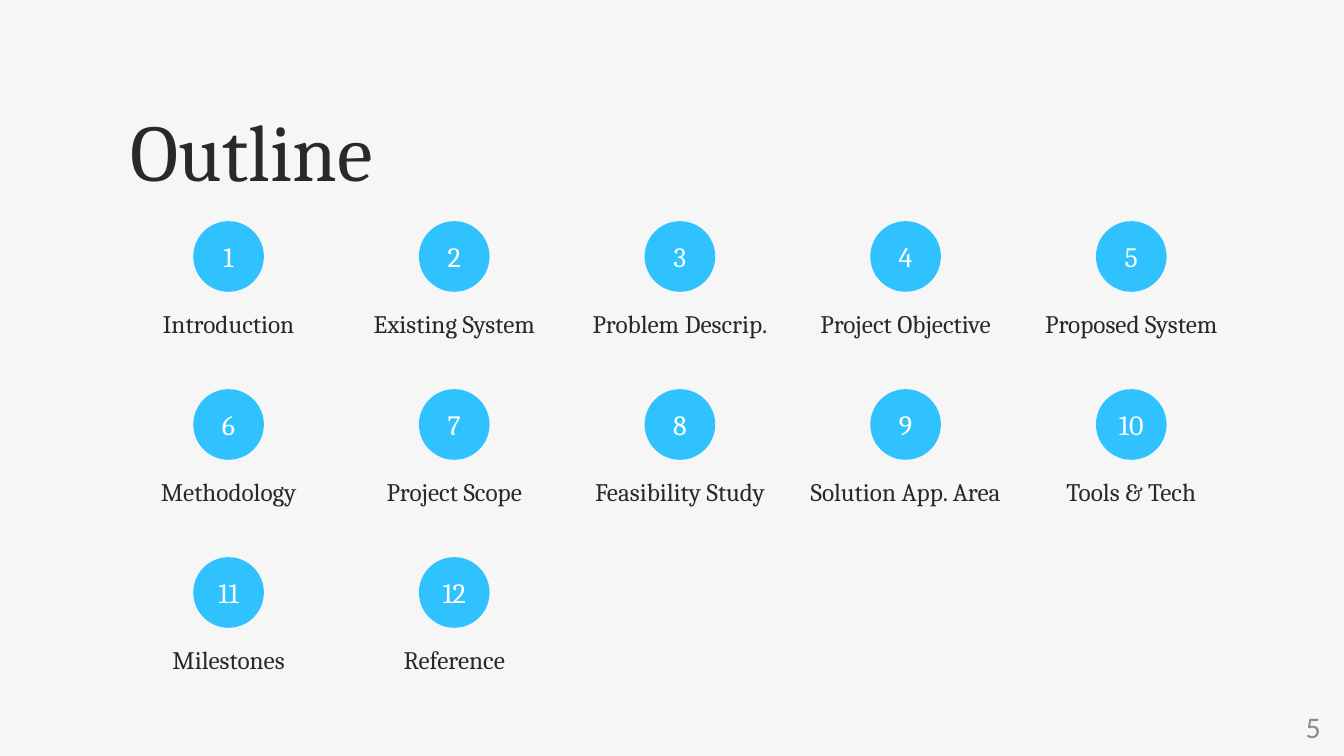
from pptx import Presentation
from pptx.dml.color import RGBColor
from pptx.enum.shapes import MSO_SHAPE
from pptx.enum.text import MSO_ANCHOR, PP_ALIGN
from pptx.util import Cm, Pt

INK, ACCENT, WHITE, GRAY, PAPER = "292929", "2FC2FE", "FFFFFF", "8C8C8C", "F6F6F6"
TOPICS = [
    "Introduction", "Existing System", "Problem Descrip.", "Project Objective",
    "Proposed System", "Methodology", "Project Scope", "Feasibility Study",
    "Solution App. Area", "Tools & Tech", "Milestones", "Reference",
]
COLUMNS = 5
COLUMN_PITCH, ROW_PITCH = 8.53, 6.35
ITEM_WIDTH, CIRCLE = 7.42, 2.67


def rgb(color):
    return RGBColor.from_string(color)


def write(sp, text, size, color, font="Cambria", align=PP_ALIGN.LEFT,
          anchor=MSO_ANCHOR.TOP, spacing=None, inset=0):
    tf = sp.text_frame
    tf.word_wrap = True
    tf.vertical_anchor = anchor
    tf.margin_left = tf.margin_right = Cm(inset)
    tf.margin_top = tf.margin_bottom = Cm(inset / 2)
    p = tf.paragraphs[0]
    p.alignment = align
    if spacing:
        p.line_spacing = Pt(spacing)
    r = p.add_run()
    r.text = text
    r.font.size = Pt(size)
    r.font.name = font
    r.font.color.rgb = rgb(color)


def add_text(s, x, y, w, h, text, **style):
    sp = s.shapes.add_textbox(Cm(x), Cm(y), Cm(w), Cm(h))
    write(sp, text, **style)


def add_item(s, x, y, w, number, topic):
    sp = s.shapes.add_shape(MSO_SHAPE.OVAL, Cm(x + (w - CIRCLE) / 2), Cm(y),
                            Cm(CIRCLE), Cm(CIRCLE))
    sp.shadow.inherit = False
    sp.fill.solid()
    sp.fill.fore_color.rgb = rgb(ACCENT)
    sp.line.fill.background()
    write(sp, str(number), size=30, color=WHITE, align=PP_ALIGN.CENTER,
          anchor=MSO_ANCHOR.MIDDLE, spacing=36)
    add_text(s, x, y + 3.2, w, 1.22, topic, size=27, color=INK,
             align=PP_ALIGN.CENTER, spacing=35.1)


def add_outline(s, x, y):
    for i, topic in enumerate(TOPICS):
        row, col = divmod(i, COLUMNS)
        add_item(s, x + col * COLUMN_PITCH, y + row * ROW_PITCH, ITEM_WIDTH,
                 i + 1, topic)


def main():
    prs = Presentation()
    prs.slide_width, prs.slide_height = Cm(50.8), Cm(28.575)
    s = prs.slides.add_slide(prs.slide_layouts[6])
    s.background.fill.solid()
    s.background.fill.fore_color.rgb = rgb(PAPER)
    add_text(s, 4.93, 3.84, 25.45, 3.66, "Outline", size=86, color=INK, spacing=103.2)
    add_outline(s, 4.93, 8.36)
    add_text(s, 44.25, 26.97, 5.92, 1.02, "5", size=32, color=GRAY, font="Calibri",
             align=PP_ALIGN.RIGHT, anchor=MSO_ANCHOR.MIDDLE, inset=0.25)
    prs.save("out.pptx")


if __name__ == "__main__":
    main()
